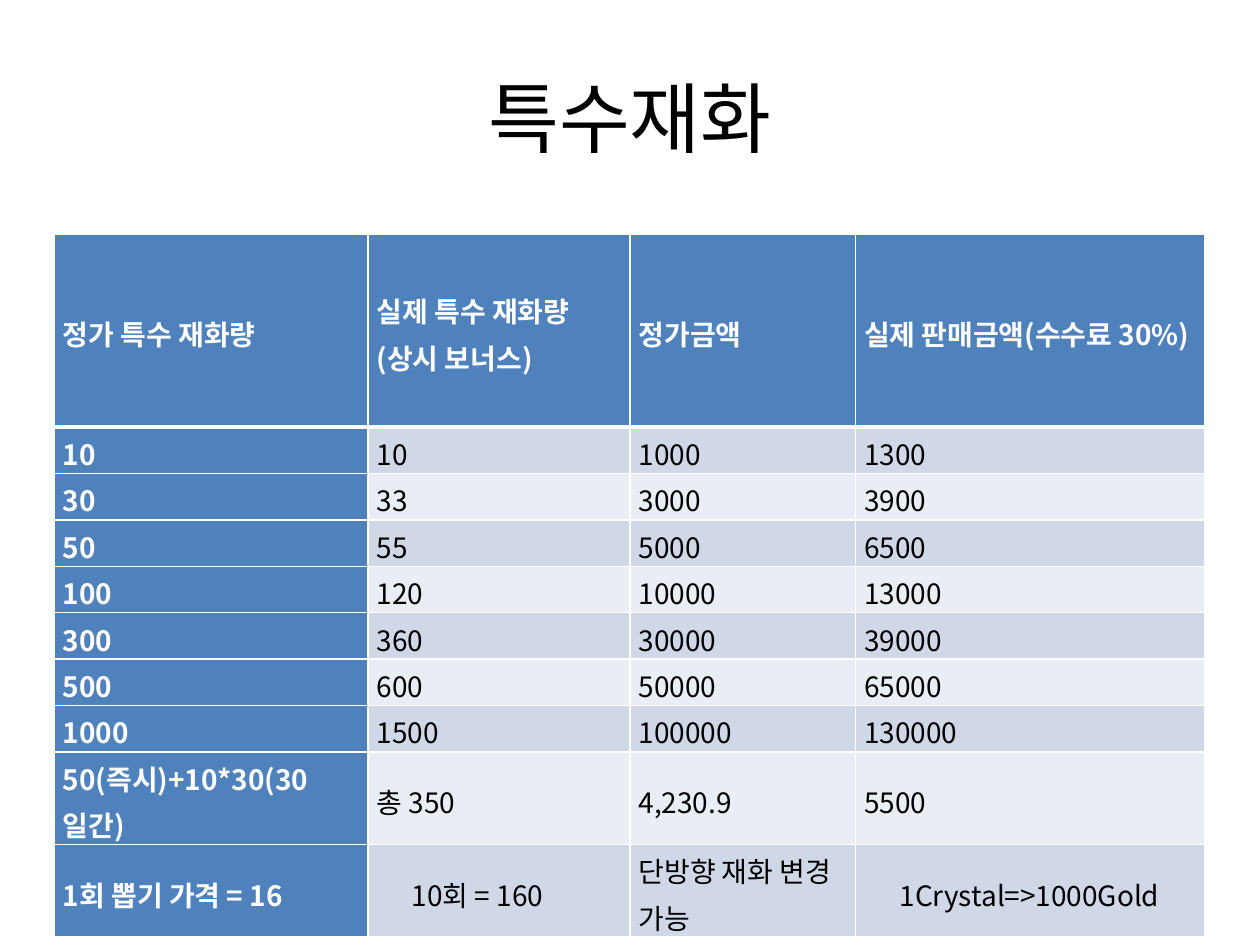
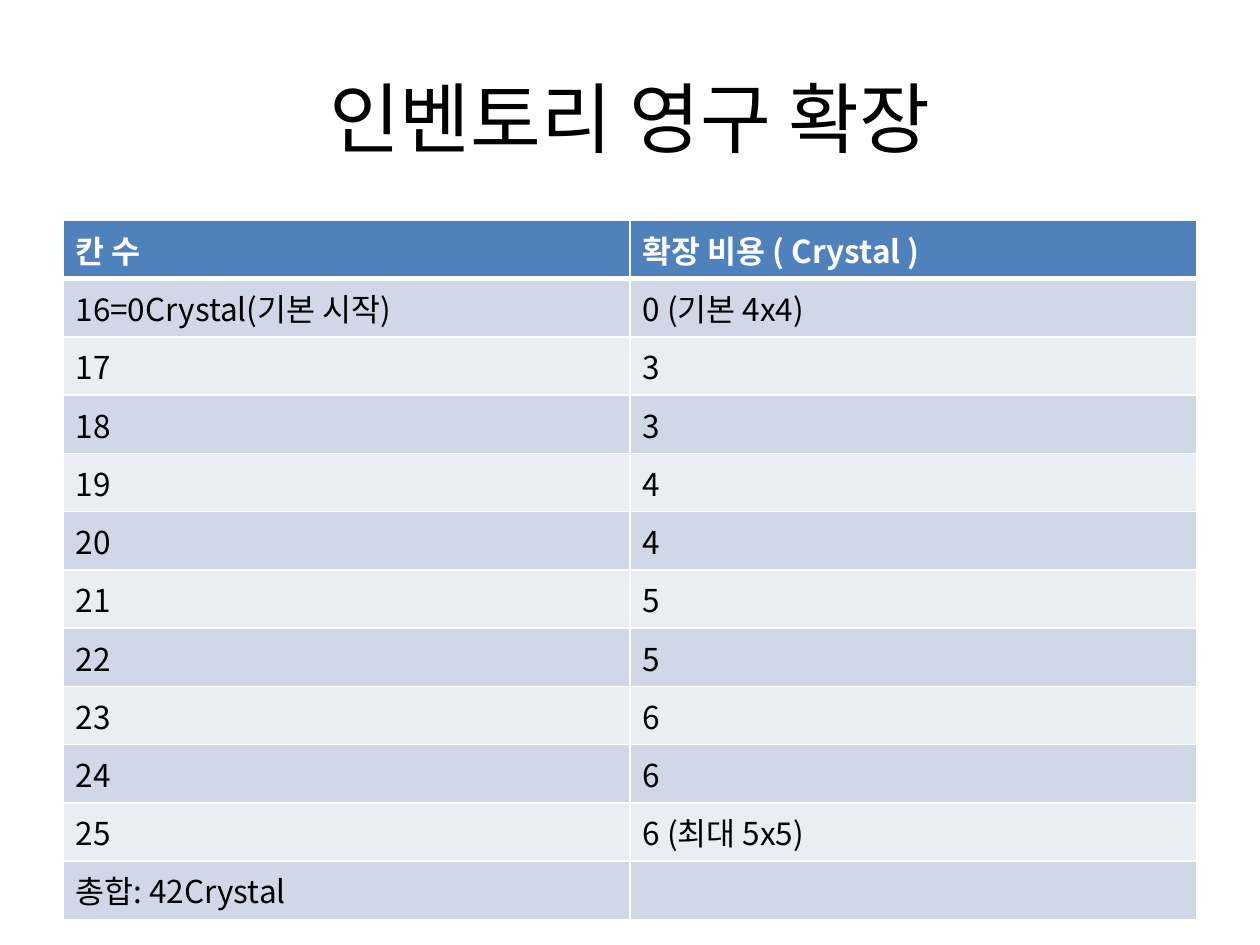
from dataclasses import dataclass, field

from lxml.etree import SubElement
from pptx import Presentation
from pptx.dml.color import RGBColor
from pptx.enum.text import MSO_ANCHOR, PP_ALIGN
from pptx.oxml.ns import qn
from pptx.util import Pt

EMU_PER_PX = 9144  # 100 px to the inch
FONT = "Noto Sans CJK KR"
WHITE, BLACK = "FFFFFF", "000000"
HEADER, BAND_DARK, BAND_LIGHT = "4F81BD", "D0D8E8", "E9EDF4"
TITLE_BOX = (50, 30, 900, 125)
THIN, THICK = 1, 3


@dataclass
class TableSpec:
    title: str
    left: int
    top: int
    col_widths: list[int]
    row_heights: list[int]
    rows: list[tuple[str, ...]]
    size: int
    margin_x: int
    margin_y: int
    anchor: MSO_ANCHOR
    line_spacing: float = 1.0
    first_col: bool = False
    indents: dict[tuple[int, int], int] = field(default_factory=dict)


CURRENCY = TableSpec(
    title="특수재화",
    left=43, top=186,
    col_widths=[249, 208, 179, 277],
    row_heights=[153] + [34] * 8 + [35],
    rows=[
        ("정가 특수 재화량", "실제 특수 재화량 (상시 보너스)", "정가금액",
         "실제 판매금액(수수료 30%)"),
        ("10", "10", "1000", "1300"),
        ("30", "33", "3000", "3900"),
        ("50", "55", "5000", "6500"),
        ("100", "120", "10000", "13000"),
        ("300", "360", "30000", "39000"),
        ("500", "600", "50000", "65000"),
        ("1000", "1500", "100000", "130000"),
        ("50(즉시)+10*30(30일간)", "총 350", "4,230.9", "5500"),
        ("1회 뽑기 가격 = 16", "10회 = 160", "단방향 재화 변경 가능",
         "1Crystal=>1000Gold"),
    ],
    size=16, margin_x=7, margin_y=0, anchor=MSO_ANCHOR.MIDDLE,
    line_spacing=1.15, first_col=True,
    indents={(9, 1): 28, (9, 3): 28},
)

INVENTORY = TableSpec(
    title="인벤토리 영구 확장",
    left=50, top=175,
    col_widths=[450] * 2,
    row_heights=[41] * 12,
    rows=[
        ("칸 수", "확장 비용 ( Crystal )"),
        ("16=0Crystal(기본 시작)", "0 (기본 4x4)"),
        ("17", "3"),
        ("18", "3"),
        ("19", "4"),
        ("20", "4"),
        ("21", "5"),
        ("22", "5"),
        ("23", "6"),
        ("24", "6"),
        ("25", "6 (최대 5x5)"),
        ("총합: 42Crystal", ""),
    ],
    size=18, margin_x=10, margin_y=5, anchor=MSO_ANCHOR.TOP,
)


def px(n: int) -> int:
    return n * EMU_PER_PX


def rgb(value: str) -> RGBColor:
    return RGBColor.from_string(value)


def style_text(p, size: int, color: str, bold: bool = False) -> None:
    font = p.font
    font.name, font.size, font.bold = FONT, Pt(size), bold
    font.color.rgb = rgb(color)
    # Hangul takes its typeface from the East Asian slot.
    def_rpr = p._p.get_or_add_pPr().find(qn("a:defRPr"))
    SubElement(def_rpr, qn("a:ea"), typeface=FONT)


def add_borders(cell, top: int, bottom: int) -> None:
    """Draw white cell borders; call before the fill is set."""
    tc_pr = cell._tc.get_or_add_tcPr()
    for side, width in (("L", THIN), ("R", THIN), ("T", top), ("B", bottom)):
        ln = SubElement(tc_pr, qn(f"a:ln{side}"), w=str(Pt(width)))
        fill = SubElement(ln, qn("a:solidFill"))
        SubElement(fill, qn("a:srgbClr"), val=WHITE)


def format_cell(cell, spec: TableSpec, row: int, col: int) -> None:
    is_head = row == 0 or (spec.first_col and col == 0)
    band = BAND_DARK if row % 2 else BAND_LIGHT
    add_borders(cell, top=THICK if row == 1 else THIN,
                bottom=THICK if row == 0 else THIN)
    cell.fill.solid()
    cell.fill.fore_color.rgb = rgb(HEADER if is_head else band)
    cell.margin_left = px(spec.margin_x + spec.indents.get((row, col), 0))
    cell.margin_right = px(spec.margin_x)
    cell.margin_top = cell.margin_bottom = px(spec.margin_y)
    cell.vertical_anchor = spec.anchor
    cell.text = spec.rows[row][col]
    p = cell.text_frame.paragraphs[0]
    p.line_spacing = spec.line_spacing
    style_text(p, spec.size, WHITE if is_head else BLACK, is_head)


def add_title(slide, text: str) -> None:
    sp = slide.shapes.title
    sp.left, sp.top, sp.width, sp.height = map(px, TITLE_BOX)
    tf = sp.text_frame
    tf.text = text
    tf.vertical_anchor = MSO_ANCHOR.MIDDLE
    p = tf.paragraphs[0]
    p.alignment = PP_ALIGN.CENTER
    style_text(p, 44, BLACK)


def add_data_table(slide, spec: TableSpec) -> None:
    table = slide.shapes.add_table(
        len(spec.rows), len(spec.col_widths), px(spec.left), px(spec.top),
        px(sum(spec.col_widths)), px(sum(spec.row_heights))).table
    table.first_col = spec.first_col
    for column, width in zip(table.columns, spec.col_widths):
        column.width = px(width)
    for r, (row, height) in enumerate(zip(table.rows, spec.row_heights)):
        row.height = px(height)
        for c, cell in enumerate(row.cells):
            format_cell(cell, spec, r, c)


def main() -> None:
    prs = Presentation()
    prs.slide_width, prs.slide_height = px(1000), px(750)
    for spec in (CURRENCY, INVENTORY):
        slide = prs.slides.add_slide(prs.slide_layouts[5])
        add_title(slide, spec.title)
        add_data_table(slide, spec)
    prs.save("out.pptx")


if __name__ == "__main__":
    main()
